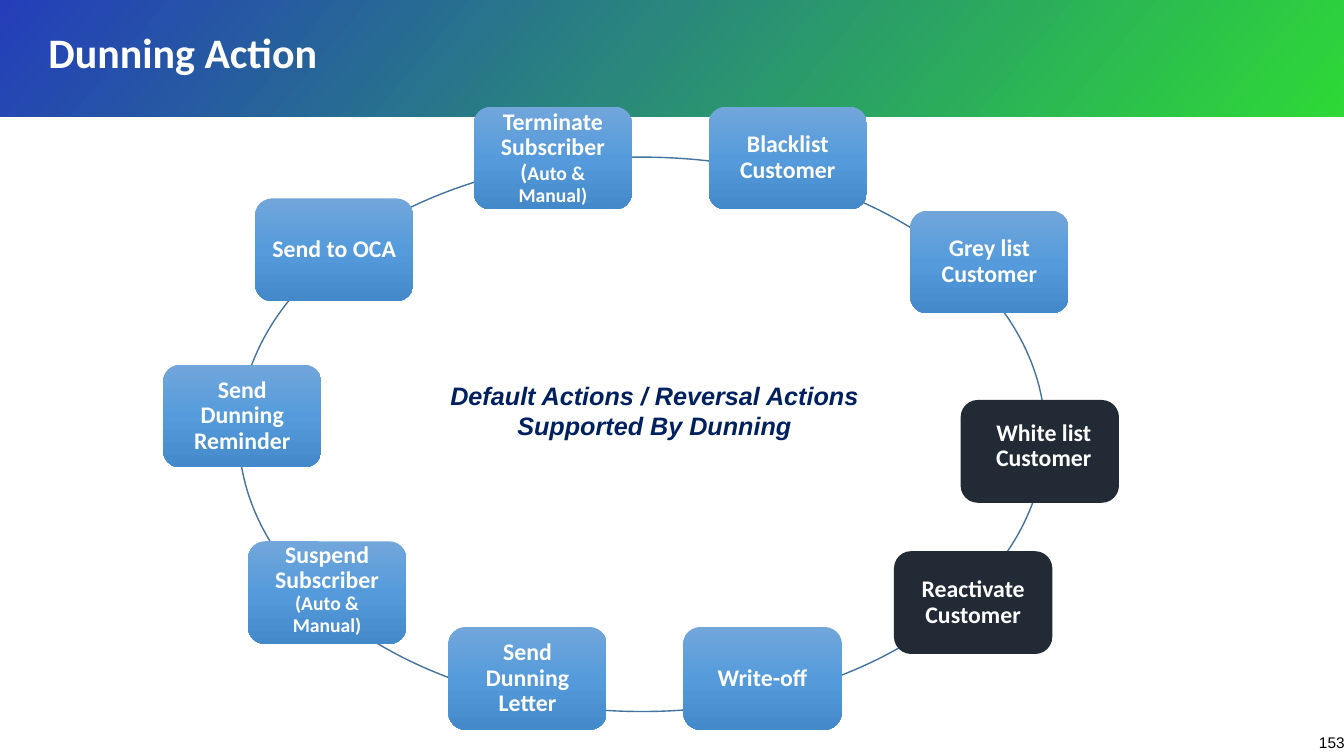
from lxml import etree
from pptx import Presentation
from pptx import util as u
from pptx.dml.color import RGBColor
from pptx.enum import shapes, text
from pptx.oxml import ns

WHITE = RGBColor(0xFF, 0xFF, 0xFF)
BLACK = RGBColor(0, 0, 0)
NAVY = RGBColor(0x00, 0x20, 0x60)
DARK = RGBColor(0x22, 0x2A, 0x35)
RING = RGBColor(0x43, 0x73, 0x9E)

# Gradient stops: position %, colour, opacity %
BANNER_STOPS = [(0, RGBColor(0x0D, 0x29, 0xB3), 89),
                (100, RGBColor(0x18, 0xD5, 0x21), 89)]
ACTION_STOPS = [(0, RGBColor(0x71, 0xA6, 0xDB), 100),
                (50, RGBColor(0x55, 0x9B, 0xDB), 100),
                (100, RGBColor(0x44, 0x8A, 0xCA), 100)]

# Content: left and top in cm, label runs (text, size), reversal action?, text nudge in cm
ACTIONS = [
    (4.11, 9.19, [("Send Dunning Reminder", 17)], False, (0, 0)),
    (11.94, 2.69, [("Terminate Subscriber\v", 17), ("(", 16), ("Auto & Manual)", 14)],
     False, (0, 0)),
    (11.3, 15.8, [("Send Dunning Letter", 17)], False, (0, 0)),
    (6.25, 13.64, [("Suspend Subscriber ", 17), ("(Auto & Manual)", 14)], False, (0, -0.08)),
    (6.43, 5.0, [("Send to OCA", 17)], False, (0, 0)),
    (17.22, 15.8, [("Write-off", 17)], False, (0, 0)),
    (22.53, 13.89, [("Reactivate Customer", 17)], True, (0, 0)),
    (17.86, 2.69, [("Blacklist Customer", 17)], False, (0, 0)),
    (22.94, 5.31, [("Grey list Customer", 17)], False, (0, 0)),
    (24.21, 10.08, [("White list Customer", 17)], True, (0.1, -0.13)),
]
ACTION_SIZE = (3.99, 2.59)
ACTION_INSET = 0.18

# Plain texts: position and size in cm, wording, alignment, anchor, font
TEXTS = [
    ((0.97, 0.23, 25.88, 2.16), "Dunning Action", text.PP_ALIGN.LEFT, text.MSO_ANCHOR.MIDDLE,
     {"name": "Calibri", "size": u.Pt(30), "bold": True}, WHITE),
    ((10.46, 9.45, 12.07, 1.8), "Default Actions / Reversal Actions Supported By Dunning",
     text.PP_ALIGN.CENTER, text.MSO_ANCHOR.TOP,
     {"name": "Arial", "size": u.Pt(18), "bold": True, "italic": True}, NAVY),
    ((32.99, 18.34, 1.22, 1.02), "153", text.PP_ALIGN.LEFT, text.MSO_ANCHOR.TOP,
     {"name": "Arial", "size": u.Pt(11)}, BLACK),
]


def add_run(paragraph, wording, font, colour):
    for index, line in enumerate(wording.split("\v")):
        if index:
            paragraph.add_line_break()
        if line:
            run = paragraph.add_run()
            run.text = line
            for key, value in font.items():
                setattr(run.font, key, value)
            run.font.color.rgb = colour


def set_gradient(shape, stops, angle):
    shape.fill.gradient()
    gradient = shape._element.spPr.find(ns.qn("a:gradFill"))
    for child in list(gradient):
        gradient.remove(child)
    stop_list = etree.SubElement(gradient, ns.qn("a:gsLst"))
    for position, colour, opacity in stops:
        stop = etree.SubElement(stop_list, ns.qn("a:gs"), pos=str(position * 1000))
        tone = etree.SubElement(stop, ns.qn("a:srgbClr"), val=str(colour))
        if opacity < 100:
            etree.SubElement(tone, ns.qn("a:alpha"), val=str(opacity * 1000))
    etree.SubElement(gradient, ns.qn("a:lin"), ang=str(angle * 60000), scaled="0")


def add_plain_shape(slide, kind, box):
    shape = slide.shapes.add_shape(kind, *map(u.Cm, box))
    shape.shadow.inherit = False
    shape.line.fill.background()
    return shape


def add_action(slide, left, top, runs, reversal, nudge):
    shape = add_plain_shape(slide, shapes.MSO_SHAPE.ROUNDED_RECTANGLE, (left, top, *ACTION_SIZE))
    if reversal:
        shape.fill.solid()
        shape.fill.fore_color.rgb = DARK
    else:
        set_gradient(shape, ACTION_STOPS, 90)
    right, down = nudge
    frame = shape.text_frame
    margins = {"margin_left": ACTION_INSET + right, "margin_right": ACTION_INSET - right,
               "margin_top": ACTION_INSET + down, "margin_bottom": ACTION_INSET - down}
    for key, value in margins.items():
        setattr(frame, key, u.Cm(value))
    frame.word_wrap = True
    frame.vertical_anchor = text.MSO_ANCHOR.MIDDLE
    paragraph = frame.paragraphs[0]
    paragraph.alignment = text.PP_ALIGN.CENTER
    paragraph.line_spacing = 0.9
    for wording, size in runs:
        add_run(paragraph, wording, {"name": "Calibri", "size": u.Pt(size), "bold": True}, WHITE)


def add_text(slide, box, wording, alignment, anchor, font, colour):
    frame = slide.shapes.add_textbox(*map(u.Cm, box)).text_frame
    frame.word_wrap = True
    frame.vertical_anchor = anchor
    paragraph = frame.paragraphs[0]
    paragraph.alignment = alignment
    add_run(paragraph, wording, font, colour)


def main():
    presentation = Presentation()
    presentation.slide_width, presentation.slide_height = u.Cm(33.87), u.Cm(19.05)
    slide = presentation.slides.add_slide(presentation.slide_layouts[6])

    # Banner
    banner = add_plain_shape(slide, shapes.MSO_SHAPE.RECTANGLE, (0, 0, 33.87, 2.95))
    set_gradient(banner, BANNER_STOPS, 40)

    # Ring behind the actions
    ring = add_plain_shape(slide, shapes.MSO_SHAPE.OVAL, (6.02, 3.96, 20.32, 13.97))
    ring.fill.solid()
    ring.fill.fore_color.rgb = WHITE
    ring.line.color.rgb = RING
    ring.line.width = u.Pt(1)

    # Actions and texts
    for action in ACTIONS:
        add_action(slide, *action)
    for item in TEXTS:
        add_text(slide, *item)

    presentation.save("out.pptx")


if __name__ == "__main__":
    main()
